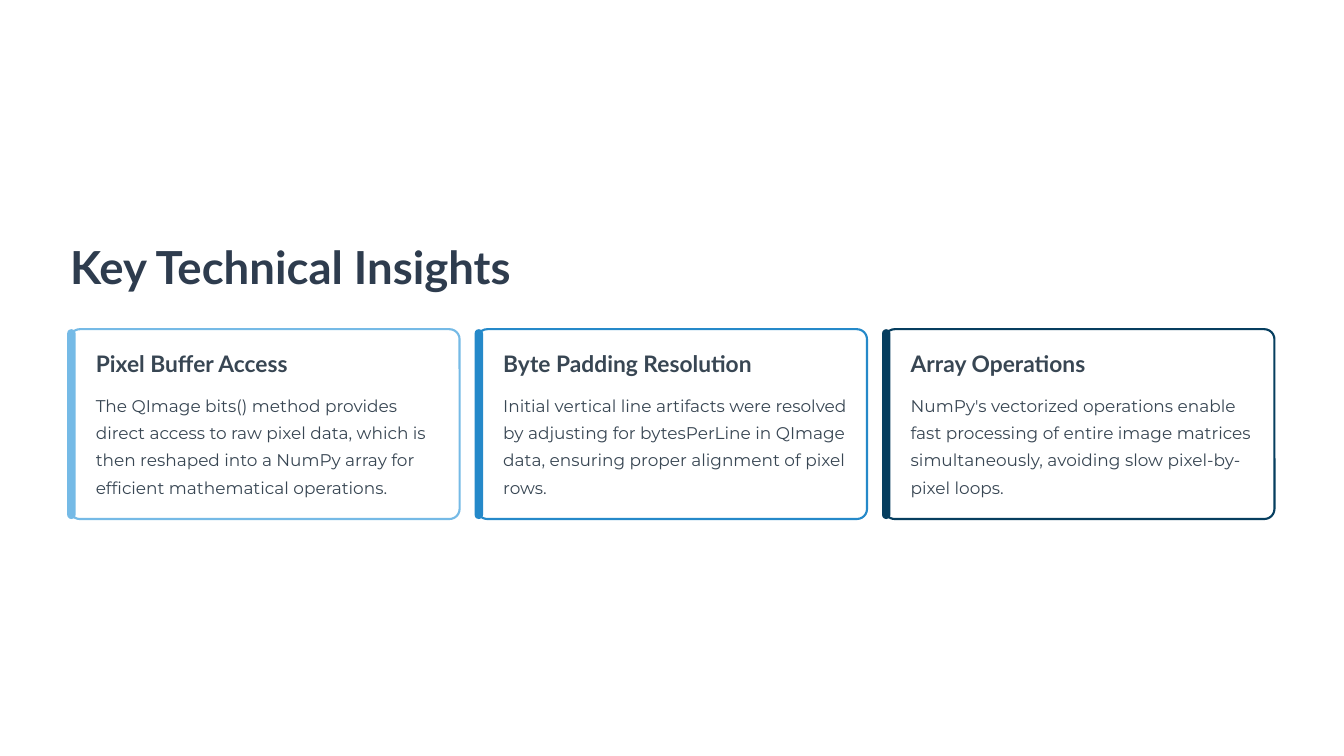
from pptx import Presentation
from pptx.dml.color import RGBColor as Rgb
from pptx.enum.shapes import MSO_SHAPE as Shape
from pptx.enum.text import MSO_ANCHOR as Anchor, MSO_AUTO_SIZE as Auto, PP_ALIGN as Align
from pptx.util import Pt

HUES = {"page": "FFFFFF", "title": "2E3C4E", "text": "384653",
        "sky": "75BAE6", "blue": "2589C9", "navy": "063E5F"}
FRAME = {"margin_left": 0, "margin_top": 0, "margin_right": 0, "margin_bottom": 0,
         "word_wrap": True, "auto_size": Auto.NONE, "vertical_anchor": Anchor.TOP}
TITLE = {"name": "Lato", "size": Pt(39), "bold": True}
HEAD = {"name": "Lato", "size": Pt(19.5), "bold": True}
BODY = {"name": "Montserrat", "size": Pt(14.5), "bold": False}
CARDS = [
    ("sky", "Pixel Buffer Access",
     "The QImage bits() method provides direct access to raw pixel data, which is "
     "then reshaped into a NumPy array for efficient mathematical operations."),
    ("blue", "Byte Padding Resolution",
     "Initial vertical line artifacts were resolved by adjusting for bytesPerLine "
     "in QImage data, ensuring proper alignment of pixel rows."),
    ("navy", "Array Operations",
     "NumPy's vectorized operations enable fast processing of entire image matrices "
     "simultaneously, avoiding slow pixel-by-pixel loops."),
]


def tint(key):
    """Return the named colour."""
    return Rgb.from_string(HUES[key])


def apply(item, values):
    """Set each attribute of a dict on an item."""
    for key, value in values.items():
        setattr(item, key, value)


def write(shape, text, font, hue, pitch):
    """Fill a shape with one left-aligned paragraph."""
    frame = shape.text_frame
    apply(frame, FRAME)
    para = frame.paragraphs[0]
    apply(para, {"alignment": Align.LEFT, "line_spacing": Pt(pitch),
                 "space_before": Pt(0)})
    run = para.add_run()
    run.text = text
    apply(run.font, font)
    run.font.color.rgb = tint(hue)


def label(slide, box, text, font, pitch):
    """Add a text box."""
    write(slide.shapes.add_textbox(*map(Pt, box)), text, font, "text", pitch)


def panel(slide, box, curve, fill, edge=None):
    """Add a rounded rectangle with an optional outline."""
    shape = slide.shapes.add_shape(Shape.ROUNDED_RECTANGLE, *map(Pt, box))
    shape.shadow.inherit = False
    shape.adjustments[0] = curve
    shape.fill.solid()
    shape.fill.fore_color.rgb = tint(fill)
    if edge:
        shape.line.color.rgb = tint(edge)
        shape.line.width = Pt(1.8)
    else:
        shape.line.fill.background()


def header(slide, box):
    """Place the slide title in its box."""
    title = slide.shapes.title
    apply(title, dict(zip(("left", "top", "width", "height"), map(Pt, box))))
    write(title, "Key Technical Insights", TITLE, "title", 49)


def card(slide, box, hue, head, body):
    """Draw a card with an accent bar, a heading and a text."""
    left, top, width, height = box
    inner, room = left + 22.3, width - 38.5
    panel(slide, box, 0.053, "page", hue)
    panel(slide, (left - 2.2, top, 7.2, height), 0.5, hue)
    label(slide, (inner, top + 16.6, room, 24.5), head, HEAD, 24.5)
    label(slide, (inner, top + 50.4, room, 96), body, BODY, 23.5)


def cards(slide, box, gap):
    """Spread the cards evenly across the box."""
    left, top, width, height = box
    size = (width - gap * (len(CARDS) - 1)) / len(CARDS)
    for place, parts in enumerate(CARDS):
        card(slide, (left + place * (size + gap), top, size, height), *parts)


def main():
    """Build and save the slide."""
    deck = Presentation()
    apply(deck, {"slide_width": Pt(1152), "slide_height": Pt(648)})
    slide = deck.slides.add_slide(deck.slide_layouts[5])
    slide.background.fill.solid()
    slide.background.fill.fore_color.rgb = tint("page")
    header(slide, (60, 203, 393, 49))
    cards(slide, (59.8, 282.2, 1032.6, 162.7), 15.1)
    deck.save("out.pptx")


if __name__ == "__main__":
    main()
